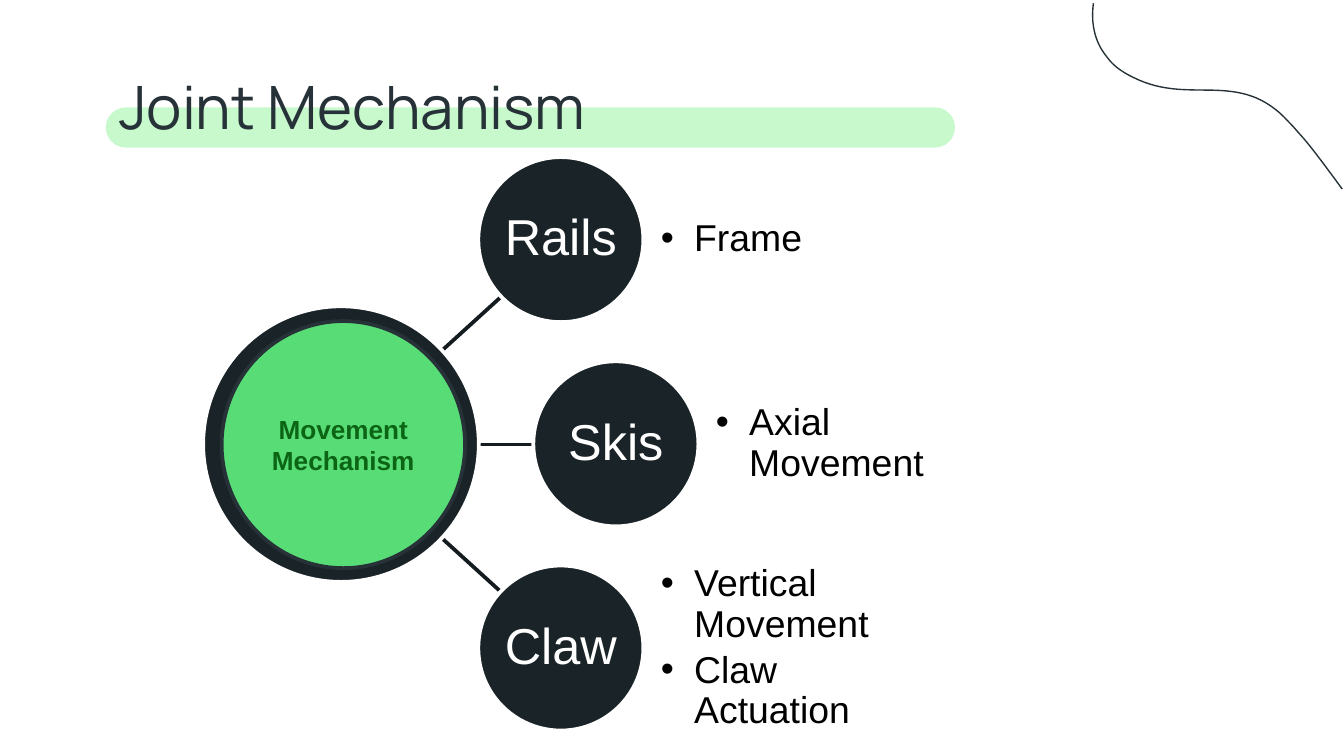
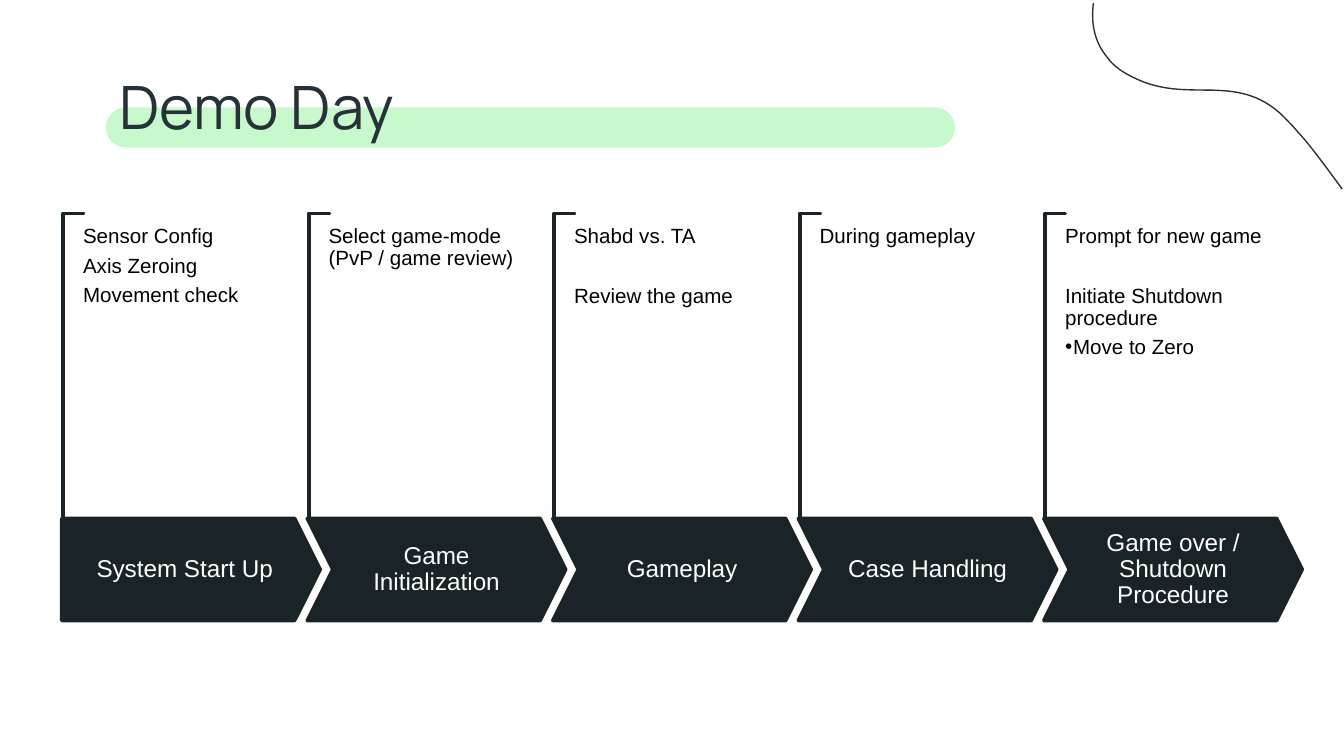
from dataclasses import dataclass

from lxml import etree
from pptx import Presentation
from pptx.dml.color import RGBColor
from pptx.enum.shapes import MSO_CONNECTOR, MSO_SHAPE
from pptx.enum.text import MSO_ANCHOR, PP_ALIGN
from pptx.oxml.ns import qn
from pptx.shapes.autoshape import Shape
from pptx.slide import Slide
from pptx.text.text import TextFrame
from pptx.util import Cm, Pt

ELLIPSE = MSO_SHAPE.OVAL
ROUNDED = MSO_SHAPE.ROUNDED_RECTANGLE
PENTAGON = MSO_SHAPE.PENTAGON
CHEVRON = MSO_SHAPE.CHEVRON
BRACKET = MSO_SHAPE.CORNER
STRAIGHT = MSO_CONNECTOR.STRAIGHT
LEFT = PP_ALIGN.LEFT
CENTER = PP_ALIGN.CENTER
TOP = MSO_ANCHOR.TOP
MIDDLE = MSO_ANCHOR.MIDDLE

COLORS = {
    "white": "FFFFFF",
    "black": "000000",
    "ink": "263238",
    "dark": "1A2327",
    "spoke": "151C1F",
    "mint": "C7F9CC",
    "green": "58DD76",
    "forest": "0B6514",
}
BODY_FONT = "Arial"
TITLE_FONT = "Manrope"
PAGE_WIDTH, PAGE_HEIGHT = 25.4, 14.29

CURVE_START = (21.23, -1.27)
CURVE_SEGMENTS = [
    ((20.78, -0.64), (20.35, 0.41), (20.93, 1.09)),
    ((21.06, 1.27), (21.26, 1.4), (21.54, 1.52)),
    ((22.56, 1.96), (23.47, 1.32), (24.36, 2.31)),
    ((24.46, 2.41), (24.54, 2.51), (24.64, 2.62)),
    ((25.04, 3.1), (25.35, 3.58), (25.73, 4.04)),
]
CURVE_STEPS = 30

HUB_MIDDLE = 8.4
NODE_SIZE, NODE_TOP, NODE_PITCH = 3.12, 2.97, 3.86
STEP_LEFT, STEP_PITCH = 1.17, 4.64


@dataclass(frozen=True)
class Frame:
    left: float
    top: float
    width: float
    height: float

    def lengths(self) -> tuple[Cm, Cm, Cm, Cm]:
        return Cm(self.left), Cm(self.top), Cm(self.width), Cm(self.height)


@dataclass(frozen=True)
class TextStyle:
    size: float
    color: str
    font: str = BODY_FONT
    bold: bool = False
    align: PP_ALIGN = LEFT
    anchor: MSO_ANCHOR = TOP
    margins: tuple[float, float] = (0, 0)
    spacing: float = 0.9
    after: float = 0
    wrap: bool = True


@dataclass(frozen=True)
class Node:
    label: str
    left: float
    details: tuple[str, ...]
    spoke_start: float
    spoke_end: tuple[float, float]


@dataclass(frozen=True)
class Step:
    label: str
    notes: tuple[str, ...]
    spaced: int | None = None
    bulleted: int | None = None


TITLE_STYLE = TextStyle(32, "ink", TITLE_FONT, margins=(0.25, 0.25), spacing=1)
HUB_STYLE = TextStyle(14, "forest", bold=True, align=CENTER, anchor=MIDDLE,
                      margins=(0.25, 0.13), spacing=1)
NODE_STYLE = TextStyle(27, "white", align=CENTER, anchor=MIDDLE,
                       margins=(0.05, 0.05), wrap=False)
DETAIL_STYLE = TextStyle(20, "black", anchor=MIDDLE, after=3)
STEP_STYLE = TextStyle(13, "white", align=CENTER, anchor=MIDDLE,
                       margins=(0.23, 0.46))
NOTE_STYLE = TextStyle(11, "black", after=4)

NODES = [
    Node("Rails", 9.04, ("Frame",), -1.69, (9.47, -2.79)),
    Node("Skis", 10.08, ("Axial Movement",), 0, (10.08, 0)),
    Node("Claw", 9.04, ("Vertical Movement", "Claw Actuation"), 1.69, (9.47, 2.79)),
]
STEPS = [
    Step("System Start Up", ("Sensor Config", "Axis Zeroing", "Movement check")),
    Step("Game Initialization", ("Select game-mode (PvP / game review)",)),
    Step("Gameplay", ("Shabd vs. TA", "Review the game"), spaced=1),
    Step("Case Handling", ("During gameplay",)),
    Step("Game over / Shutdown Procedure",
         ("Prompt for new game", "Initiate Shutdown procedure", "Move to Zero"),
         spaced=1, bulleted=2),
]


def rgb(name: str) -> RGBColor:
    return RGBColor.from_string(COLORS[name])


def write(text_frame: TextFrame, text: str, style: TextStyle) -> None:
    text_frame.text = text
    text_frame.word_wrap = style.wrap
    text_frame.vertical_anchor = style.anchor
    side, end = style.margins
    text_frame.margin_left = text_frame.margin_right = Cm(side)
    text_frame.margin_top = text_frame.margin_bottom = Cm(end)
    for para in text_frame.paragraphs:
        para.alignment = style.align
        para.line_spacing = style.spacing
        para.space_after = Pt(style.after)
        for span in para.runs:
            span.font.name = style.font
            span.font.size = Pt(style.size)
            span.font.bold = style.bold
            span.font.color.rgb = rgb(style.color)


def add_text(page: Slide, frame: Frame, text: str, style: TextStyle) -> Shape:
    box = page.shapes.add_textbox(*frame.lengths())
    write(box.text_frame, text, style)
    return box


def add_shape(page: Slide, kind: MSO_SHAPE, frame: Frame, fill: str,
              line: str | None = None, adjustments: tuple[float, ...] = ()) -> Shape:
    shape = page.shapes.add_shape(kind, *frame.lengths())
    shape.shadow.inherit = False
    shape.fill.solid()
    shape.fill.fore_color.rgb = rgb(fill)
    if line:
        shape.line.color.rgb = rgb(line)
        shape.line.width = Pt(2)
    else:
        shape.line.fill.background()
    for index, value in enumerate(adjustments):
        shape.adjustments[index] = value
    return shape


def add_bullet(para, indent: float) -> None:
    properties = para._p.get_or_add_pPr()
    properties.set("marL", str(Cm(indent)))
    properties.set("indent", str(-Cm(indent)))
    font = etree.SubElement(properties, qn("a:buFont"))
    font.set("typeface", BODY_FONT)
    bullet = etree.SubElement(properties, qn("a:buChar"))
    bullet.set("char", "•")


def curve_points() -> list[tuple[Cm, Cm]]:
    points = []
    start = CURVE_START
    for first, second, end in CURVE_SEGMENTS:
        for step in range(CURVE_STEPS):
            t = step / CURVE_STEPS
            u = 1 - t
            x, y = (
                u**3 * a + 3 * u * u * t * b + 3 * u * t * t * c + t**3 * d
                for a, b, c, d in zip(start, first, second, end)
            )
            if x <= PAGE_WIDTH and y >= 0:
                points.append((Cm(x), Cm(y)))
        start = end
    return points


def add_page(deck, title: str) -> Slide:
    page = deck.slides.add_slide(deck.slide_layouts[6])
    page.background.fill.solid()
    page.background.fill.fore_color.rgb = rgb("white")
    add_shape(page, ROUNDED, Frame(2, 2.03, 16.05, 0.76), "mint", adjustments=(0.5,))
    points = curve_points()
    builder = page.shapes.build_freeform(*points[0])
    builder.add_line_segments(points[1:], close=False)
    curve = builder.convert_to_shape()
    curve.shadow.inherit = False
    curve.fill.background()
    curve.line.color.rgb = rgb("ink")
    curve.line.width = Pt(0.75)
    add_text(page, Frame(2, 1.07, 21.41, 1.7), title, TITLE_STYLE)
    return page


def add_spoke(page: Slide, node: Node) -> None:
    end_x, end_offset = node.spoke_end
    spoke = page.shapes.add_connector(
        STRAIGHT, Cm(8.26), Cm(HUB_MIDDLE + node.spoke_start),
        Cm(end_x), Cm(HUB_MIDDLE + end_offset))
    spoke.line.color.rgb = rgb("spoke")
    spoke.line.width = Pt(2)
    etree.SubElement(spoke._element.spPr, qn("a:effectLst"))


def add_node(page: Slide, node: Node, top: float) -> None:
    circle = add_shape(page, ELLIPSE, Frame(node.left, top, NODE_SIZE, NODE_SIZE),
                       "dark", "white")
    write(circle.text_frame, node.label, NODE_STYLE)
    details = add_text(page, Frame(node.left + 3.45, top, 4.7, NODE_SIZE),
                       "\n".join(node.details), DETAIL_STYLE)
    for para in details.text_frame.paragraphs:
        add_bullet(para, 0.63)


def add_step(page: Slide, step: Step, left: float, kind: MSO_SHAPE) -> None:
    bracket = add_shape(page, BRACKET, Frame(left - 2.67, 6.73, 5.77, 0.38),
                        "white", "dark", (0.01, 0.01))
    bracket.rotation = 90
    arrow = add_shape(page, kind, Frame(left, 9.8, 4.88, 1.93), "dark", "dark", (0.25,))
    write(arrow.text_frame, step.label, STEP_STYLE)
    notes = add_text(page, Frame(left + 0.4, 4.27, 3.96, 4.42),
                     "\n".join(step.notes), NOTE_STYLE)
    paragraphs = notes.text_frame.paragraphs
    if step.spaced is not None:
        paragraphs[step.spaced].space_before = Pt(16)
    if step.bulleted is not None:
        add_bullet(paragraphs[step.bulleted], 0.15)


def build_joint_page(deck) -> None:
    page = add_page(deck, "Joint Mechanism")
    for node in NODES:
        add_spoke(page, node)
    add_shape(page, ELLIPSE, Frame(3.84, 5.79, 5.21, 5.21), "dark", "white")
    for index, node in enumerate(NODES):
        add_node(page, node, NODE_TOP + index * NODE_PITCH)
    hub = add_shape(page, ELLIPSE, Frame(4.19, 6.07, 4.6, 4.67), "green", "ink")
    write(hub.text_frame, "Movement Mechanism", HUB_STYLE)


def build_demo_page(deck) -> None:
    page = add_page(deck, "Demo Day")
    for index, step in enumerate(STEPS):
        kind = CHEVRON if index else PENTAGON
        add_step(page, step, STEP_LEFT + index * STEP_PITCH, kind)


def main() -> None:
    deck = Presentation()
    deck.slide_width = Cm(PAGE_WIDTH)
    deck.slide_height = Cm(PAGE_HEIGHT)
    build_joint_page(deck)
    build_demo_page(deck)
    deck.save("out.pptx")


if __name__ == "__main__":
    main()
